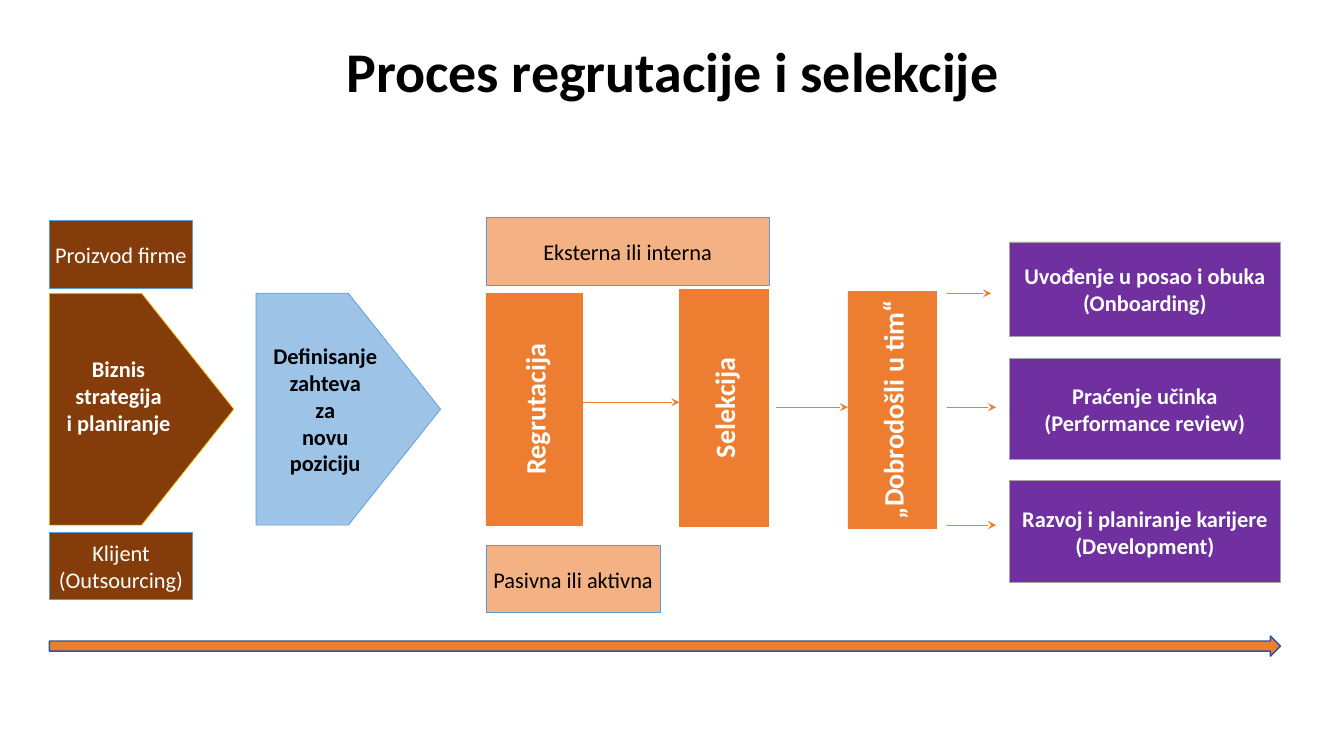
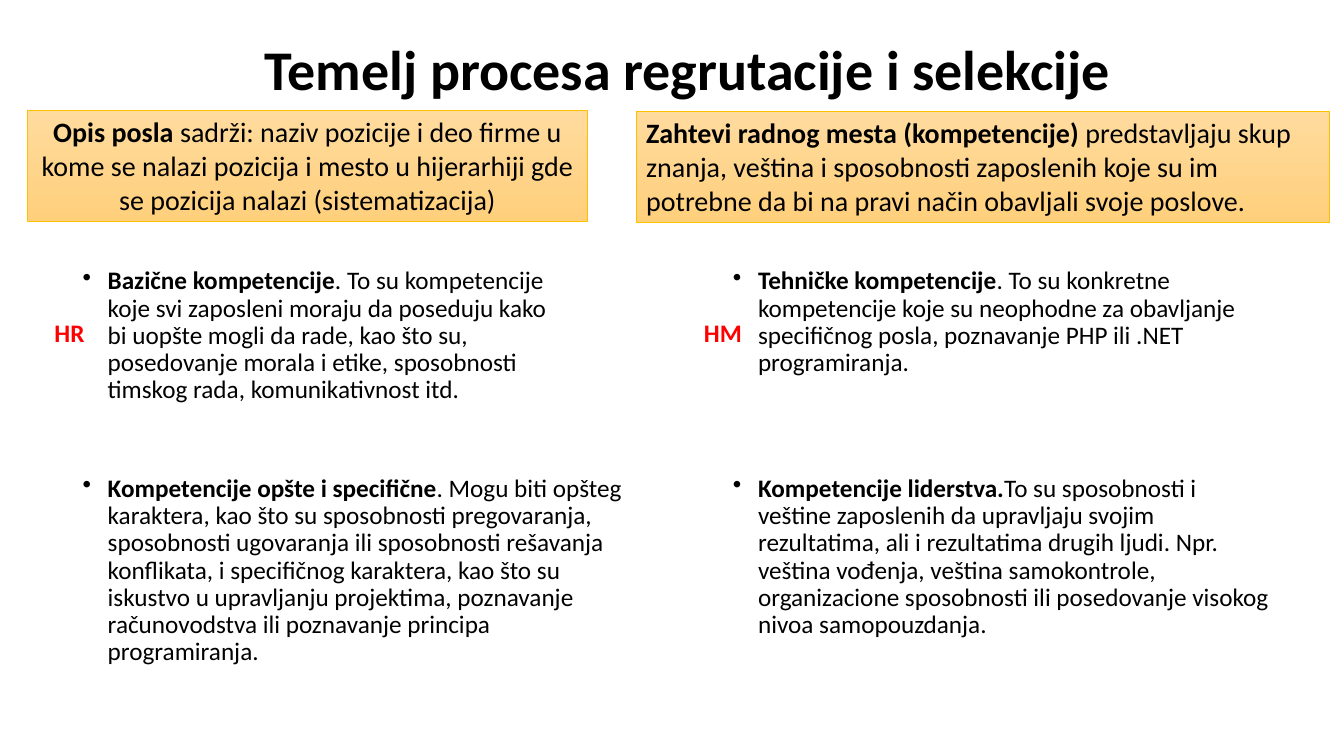
from dataclasses import dataclass

from lxml import etree
from pptx import Presentation
from pptx.dml.color import RGBColor
from pptx.enum.shapes import MSO_CONNECTOR, MSO_SHAPE
from pptx.enum.text import MSO_ANCHOR, PP_ALIGN
from pptx.oxml.ns import qn
from pptx.util import Pt

PX = 9144
RECT, PENTAGON, ARROW = MSO_SHAPE.RECTANGLE, MSO_SHAPE.PENTAGON, MSO_SHAPE.RIGHT_ARROW
STRAIGHT = MSO_CONNECTOR.STRAIGHT
TOP, MIDDLE = MSO_ANCHOR.TOP, MSO_ANCHOR.MIDDLE
LEFT, CENTER = PP_ALIGN.LEFT, PP_ALIGN.CENTER


@dataclass(frozen=True)
class Theme:
    font: str = "Calibri"
    black: str = "000000"
    white: str = "FFFFFF"
    red: str = "FF0000"
    brown: str = "843C0B"
    blue: str = "5B9BD5"
    sky: str = "9DC3E6"
    navy: str = "325491"
    orange: str = "ED7D31"
    peach: str = "F4B183"
    purple: str = "7030A0"
    gray: str = "A5A5A5"
    gold: str = "FFC000"
    gold_light: str = "FFDB9E"
    gold_dark: str = "FFD07C"
    title: int = 40
    large: int = 20
    body: int = 18
    label: int = 16
    hairline: float = 0.5
    spacing: float = 0.9


THEME = Theme()

STYLES = {
    "origin": (THEME.brown, THEME.blue, THEME.white, THEME.label, False),
    "strategy": (THEME.brown, THEME.gold, THEME.white, THEME.label, True),
    "request": (THEME.sky, THEME.blue, THEME.black, THEME.label, True),
    "stage": (THEME.orange, THEME.orange, THEME.white, THEME.large, True),
    "option": (THEME.peach, THEME.blue, THEME.black, THEME.label, False),
    "outcome": (THEME.purple, THEME.gray, THEME.white, THEME.label, True),
}

PROCESS_TITLE = ("Proces regrutacije i selekcije", (92, 1, 1150, 145))
PENTAGONS = [
    ("request", (254, 291, 183, 230), ["Definisanje", "zahteva", "za", "novu", "poziciju"], 5),
    ("strategy", (49, 291, 183, 230), ["Biznis", "strategija", "i planiranje"], 32),
]
STAGES = [
    ("Regrutacija", (482, 291, 96, 230)),
    ("Selekcija", (674, 287, 88, 235)),
    ("„Dobrodošli u tim“", (841, 289, 88, 235)),
]
BOXES = [
    ("origin", (49, 219, 142, 67), ["Proizvod firme"]),
    ("origin", (49, 528, 142, 67), ["Klijent", "(Outsourcing)"]),
    ("option", (482, 216, 281, 67), ["Eksterna ili interna"]),
    ("option", (482, 541, 173, 67), ["Pasivna ili aktivna"]),
    ("outcome", (1001, 240, 269, 94), ["Uvođenje u posao i obuka", "(Onboarding)"]),
    ("outcome", (1001, 356, 269, 100), ["Praćenje učinka", "(Performance review)"]),
    ("outcome", (1001, 477, 269, 101), ["Razvoj i planiranje karijere", "(Development)"]),
]
LINKS = [(578, 674, 399), (770, 841, 404), (939, 983, 291), (939, 988, 404), (939, 988, 521)]
TIMELINE = (49, 631, 1221, 20)

BASIS_TITLE = ("Temelj procesa regrutacije i selekcije", (107, 0, 1150, 143))
DEFINITIONS = [
    ((27, 109, 556, 111), CENTER, "Opis posla ",
     "sadrži: naziv pozicije i deo firme u kome se nalazi pozicija i mesto u hijerarhiji "
     "gde se pozicija nalazi (sistematizacija)"),
    ((631, 110, 688, 111), LEFT, "Zahtevi radnog mesta (kompetencije) ",
     "predstavljaju skup znanja, veština i sposobnosti zaposlenih koje su im potrebne "
     "da bi na pravi način obavljali svoje poslove."),
]
ROW_TOPS = (261, 467)
COLUMNS = [
    (72, "HR", 26, [
        (498, 165, "Bazične kompetencije",
         ". To su kompetencije koje svi zaposleni moraju da poseduju kako bi uopšte mogli "
         "da rade, kao što su, posedovanje morala i etike, sposobnosti timskog rada, "
         "komunikativnost itd."),
        (569, 232, "Kompetencije opšte i specifične",
         ". Mogu biti opšteg karaktera, kao što su sposobnosti pregovaranja, sposobnosti "
         "ugovaranja ili sposobnosti rešavanja konflikata, i specifičnog karaktera, kao što "
         "su iskustvo u upravljanju projektima, poznavanje računovodstva ili poznavanje "
         "principa programiranja."),
    ]),
    (717, "HM", 674, [
        (540, 165, "Tehničke kompetencije",
         ". To su konkretne kompetencije koje su neophodne za obavljanje specifičnog posla, "
         "poznavanje PHP ili .NET programiranja."),
        (552, 182, "Kompetencije liderstva.",
         "To su sposobnosti i veštine zaposlenih da upravljaju svojim rezultatima, ali i "
         "rezultatima drugih ljudi. Npr. veština vođenja, veština samokontrole, "
         "organizacione sposobnosti ili posedovanje visokog nivoa samopouzdanja."),
    ]),
]


def rgb(color):
    return RGBColor.from_string(color)


def scaled(*lengths):
    return [length * PX for length in lengths]


def style_span(span, size, color, bold):
    span.font.name = THEME.font
    span.font.size = Pt(size)
    span.font.bold = bold
    span.font.color.rgb = rgb(color)


def set_lines(box, lines, size, color, bold, align=CENTER, anchor=MIDDLE, wrap=True):
    frame = box.text_frame
    frame.text = "\n".join(lines)
    frame.word_wrap = wrap
    frame.vertical_anchor = anchor
    for para in frame.paragraphs:
        para.alignment = align
        for span in para.runs:
            style_span(span, size, color, bold)
    return frame


def set_lead(box, lead, rest, size, align=LEFT):
    frame = set_lines(box, [lead], size, THEME.black, True, align, TOP)
    para = frame.paragraphs[0]
    span = para.add_run()
    span.text = rest
    style_span(span, size, THEME.black, False)
    return para


def add_text(page, place):
    return page.shapes.add_textbox(*scaled(*place))


def add_title(page, text, place):
    frame = set_lines(add_text(page, place), [text], THEME.title, THEME.black, True)
    frame.paragraphs[0].line_spacing = THEME.spacing


def add_block(page, kind, place, line, fill=None, width=THEME.hairline):
    block = page.shapes.add_shape(kind, *scaled(*place))
    block.shadow.inherit = False
    block.line.color.rgb = rgb(line)
    block.line.width = Pt(width)
    if fill:
        block.fill.solid()
        block.fill.fore_color.rgb = rgb(fill)
    return block


def add_label(page, style, place, lines, kind=RECT):
    fill, line, color, size, bold = STYLES[style]
    block = add_block(page, kind, place, line, fill)
    return set_lines(block, lines, size, color, bold, wrap=False)


def add_link(page, start, end, y):
    link = page.shapes.add_connector(STRAIGHT, *scaled(start, y, end, y))
    link.line.color.rgb = rgb(THEME.orange)
    link.line.width = Pt(THEME.hairline)
    etree.SubElement(link.line._get_or_add_ln(), qn("a:tailEnd"), type="stealth")
    etree.SubElement(link._element.spPr, qn("a:effectLst"))


def add_definition(page, place, align, lead, rest):
    block = add_block(page, RECT, place, THEME.gold)
    block.fill.gradient()
    block.fill.gradient_angle = 270
    for stop, color in zip(block.fill.gradient_stops, (THEME.gold_light, THEME.gold_dark)):
        stop.color.rgb = rgb(color)
    set_lead(block, lead, rest, THEME.large, align)


def add_bullet(page, place, lead, rest):
    para = set_lead(add_text(page, place), lead, rest, THEME.body)
    properties = para._p.get_or_add_pPr()
    properties.set("marL", str(25 * PX))
    properties.set("indent", str(-25 * PX))
    etree.SubElement(properties, qn("a:buChar"), char="•")
    para.line_spacing = THEME.spacing


def build_process(page):
    add_title(page, *PROCESS_TITLE)
    for style, place, lines, bottom in PENTAGONS:
        frame = add_label(page, style, place, lines, PENTAGON)
        frame.margin_bottom = bottom * PX
    for text, place in STAGES:
        frame = add_label(page, "stage", place, [text])
        frame._txBody.bodyPr.set("vert", "vert270")
    for style, place, lines in BOXES:
        add_label(page, style, place, lines)
    for link in LINKS:
        add_link(page, *link)
    add_block(page, ARROW, TIMELINE, THEME.navy, THEME.orange, 1)


def build_basis(page):
    add_title(page, *BASIS_TITLE)
    for definition in DEFINITIONS:
        add_definition(page, *definition)
    for left, owner, owner_left, bullets in COLUMNS:
        for top, (width, height, lead, rest) in zip(ROW_TOPS, bullets):
            add_bullet(page, (left, top, width, height), lead, rest)
        owner_box = add_text(page, (owner_left, 310, 86, 40))
        set_lines(owner_box, [owner], THEME.body, THEME.red, True, anchor=TOP)


def main():
    deck = Presentation()
    deck.slide_width, deck.slide_height = scaled(1333, 750)
    for build in (build_process, build_basis):
        build(deck.slides.add_slide(deck.slide_layouts[6]))
    deck.save("out.pptx")


if __name__ == "__main__":
    main()
